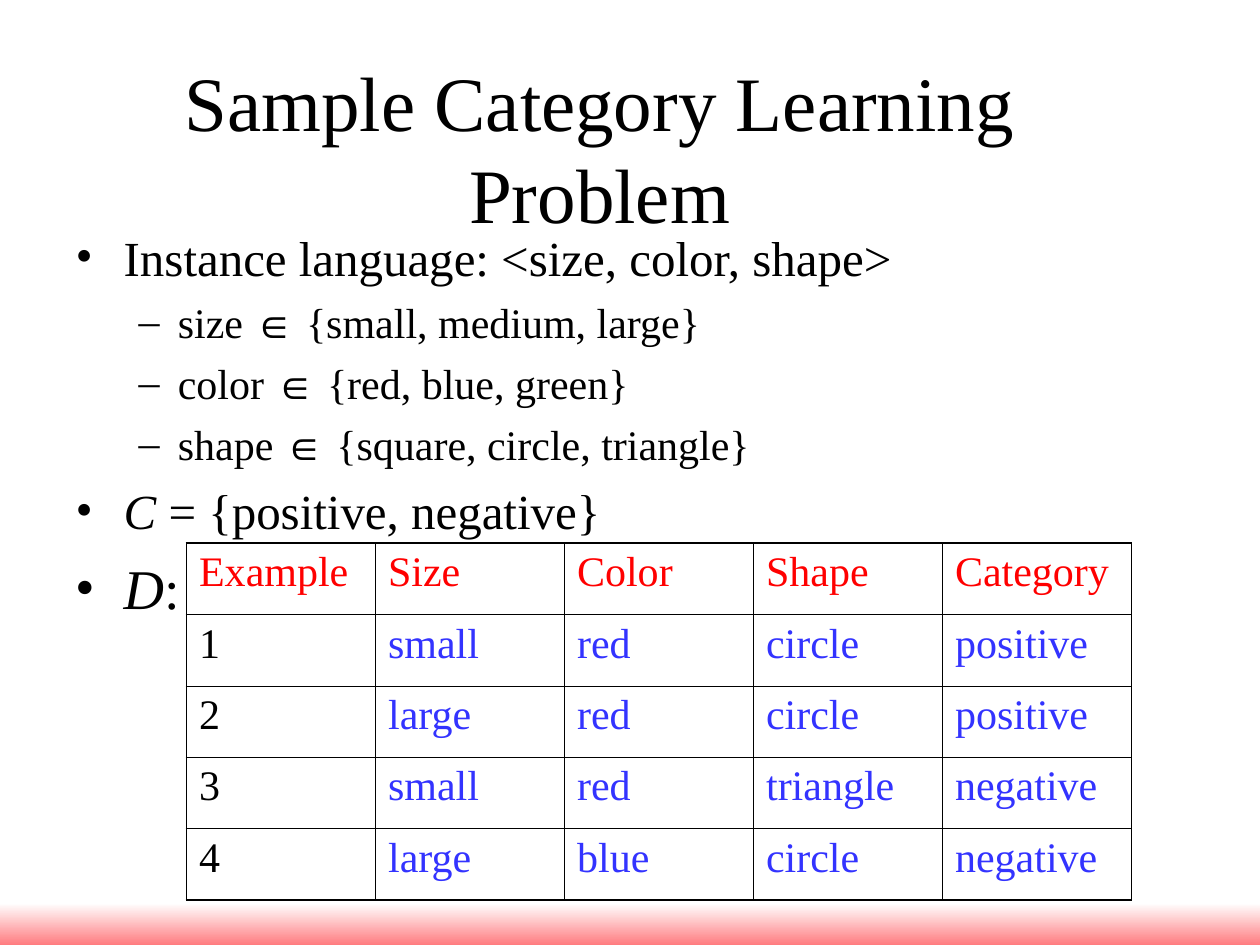
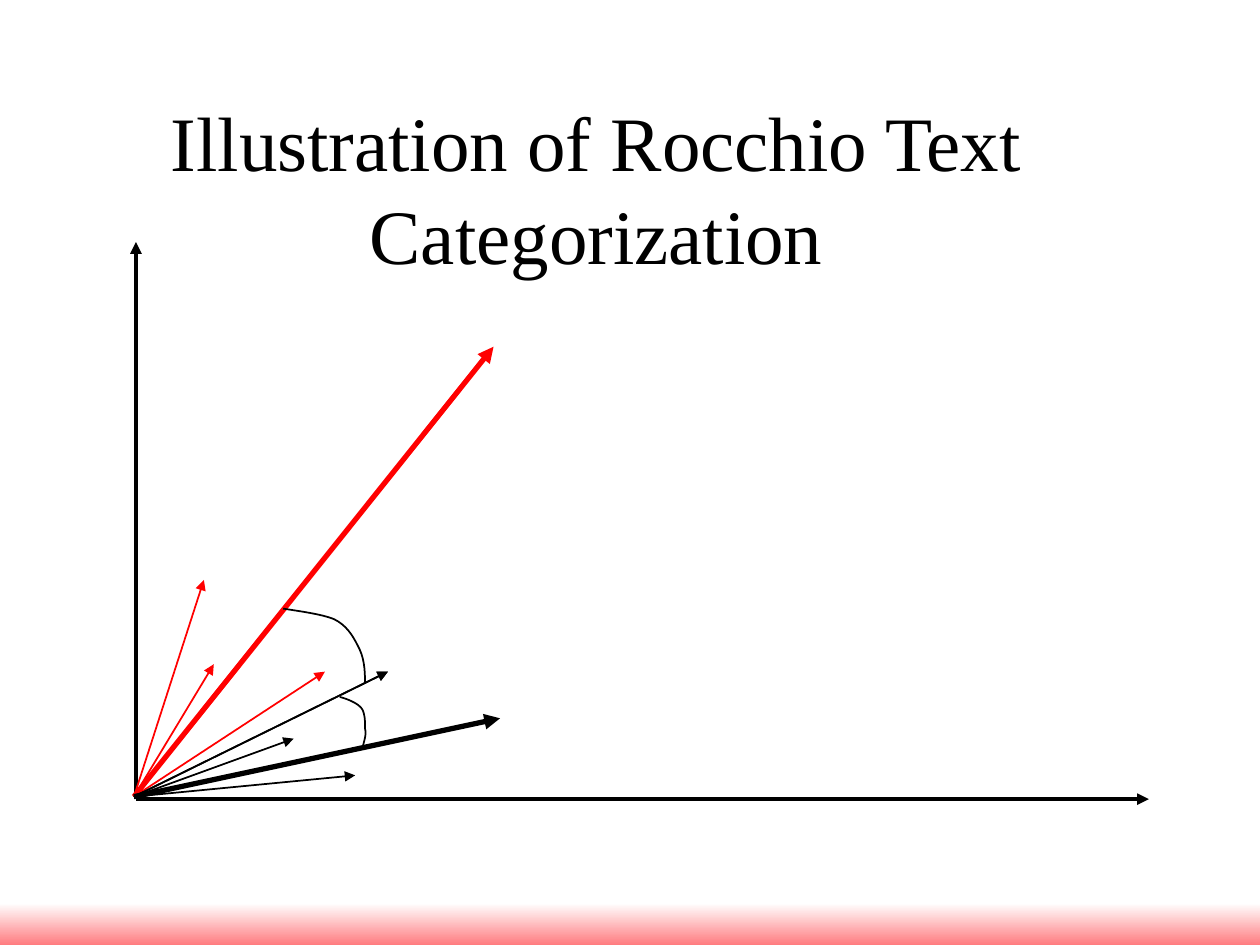
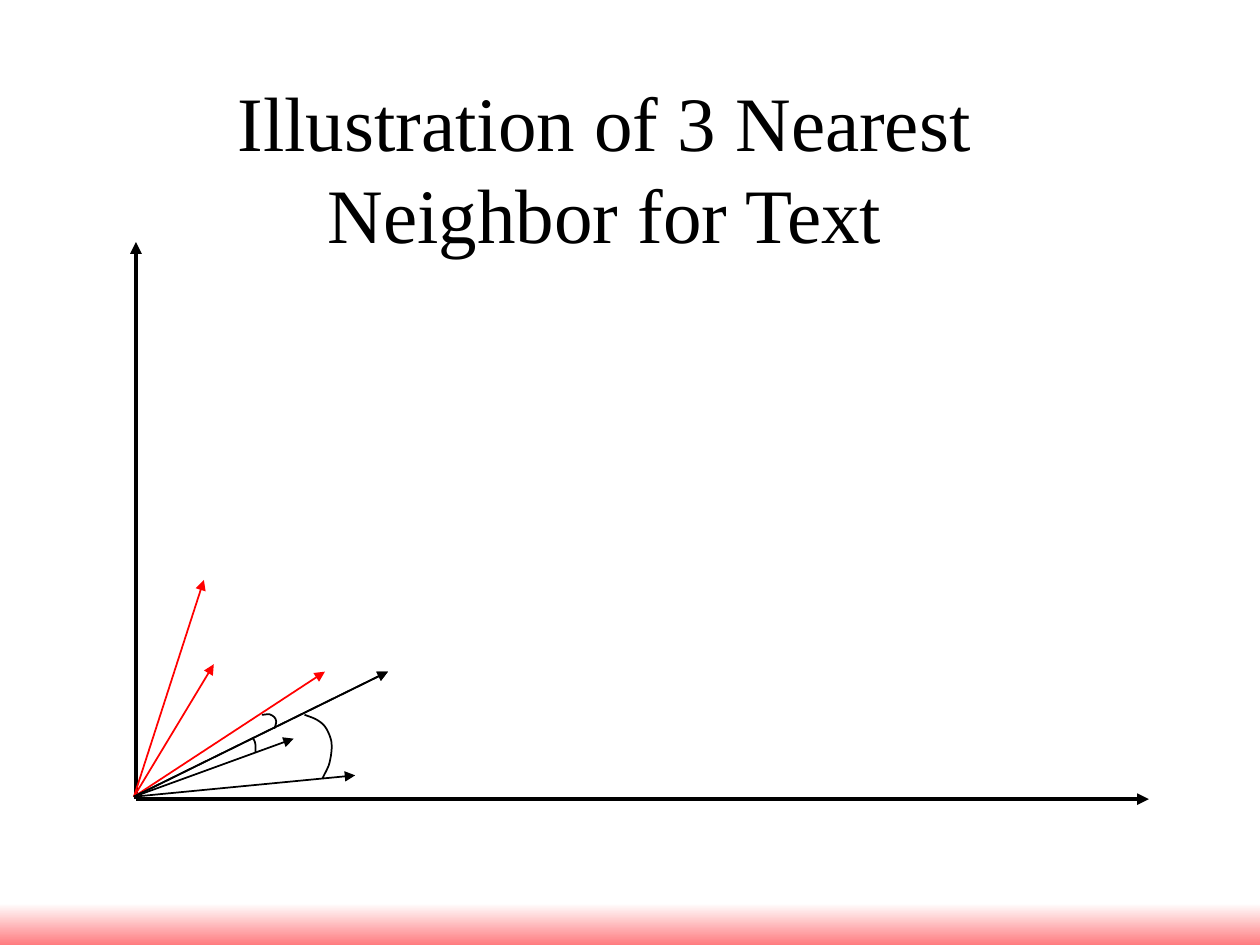
from lxml import etree
from pptx import Presentation
from pptx.dml.color import RGBColor
from pptx.enum.shapes import MSO_CONNECTOR, MSO_SHAPE
from pptx.enum.text import MSO_ANCHOR, MSO_AUTO_SIZE, PP_ALIGN
from pptx.oxml.ns import qn
from pptx.util import Cm, Pt

STRAIGHT = MSO_CONNECTOR.STRAIGHT
RECTANGLE = MSO_SHAPE.RECTANGLE
TOP = MSO_ANCHOR.TOP
NO_FIT = MSO_AUTO_SIZE.NONE
CENTER = PP_ALIGN.CENTER
LEFT = PP_ALIGN.LEFT

BLACK = RGBColor(0x00, 0x00, 0x00)
WHITE = RGBColor(0xFF, 0xFF, 0xFF)
RED = RGBColor(0xFF, 0x00, 0x00)
BLUE = RGBColor(0x33, 0x33, 0xFF)
PINK = RGBColor(0xFF, 0x7C, 0x80)

SERIF = "Times New Roman"
SANS = "Arial"
LINE_PITCH = 1.2
CONTENT_LAYOUT, TITLE_LAYOUT = 1, 5

# Boxes are left, top, width, height in centimetres
BAND_BOX = (0, 18.21, 25.4, 0.84)
BODY_BOX = (1.27, 4.45, 22.86, 12.57)
TABLE_BOX = (3.76, 10.95, 19.05, 7.19)
PLOT_BOX = (2.74, 4.88, 20.42, 11.23)

# List levels: bullet, left margin, hanging indent
LEVELS = [("•", 0.97, 0.97), ("–", 2.06, 0.79)]

# Each item: level, size, space before, runs of (text, font, italic)
PROBLEM = [
    (0, 28, 7, [("Instance language: <size, color, shape>", SERIF, False)]),
    *[(1, 24, 6, [(name + " ", SERIF, False), ("∈", SANS, False),
                  (" {" + values + "}", SERIF, False)])
      for name, values in [("size", "small, medium, large"),
                           ("color", "red, blue, green"),
                           ("shape", "square, circle, triangle")]],
    (0, 28, 7, [("C ", SERIF, True), ("= {positive, negative}", SERIF, False)]),
    (0, 32, 8, [("D", SERIF, True), (":", SERIF, False)]),
]

EXAMPLES = [
    ["Example", "Size", "Color", "Shape", "Category"],
    ["1", "small", "red", "circle", "positive"],
    ["2", "large", "red", "circle", "positive"],
    ["3", "small", "red", "triangle", "negative"],
    ["4", "large", "blue", "circle", "negative"],
]

# Vectors: tip right of and above the origin in centimetres, colour, width
DOCUMENTS = [
    (1.37, 4.42, RED, 1), (1.57, 2.72, RED, 1), (3.81, 2.57, RED, 1),
    (4.42, 0.48, BLACK, 1), (3.18, 1.22, BLACK, 1),
]
PROTOTYPES = [(7.21, 9.12, RED, 3), (7.34, 1.63, BLACK, 3)]
QUERY = (5.08, 2.57, BLACK, 1)
RAY_START = (-0.04, 0.05)

# Angle arcs: a start point, then three Bézier points for each segment
PROTOTYPE_ARCS = [
    [(2.97, 3.84), (3.35, 3.78), (3.73, 3.73), (3.99, 3.63), (4.24, 3.51),
     (4.37, 3.3), (4.47, 3.1), (4.6, 2.87), (4.62, 2.62), (4.62, 2.36)],
    [(4.11, 2.06), (4.29, 2.01), (4.47, 1.93), (4.55, 1.83), (4.62, 1.73),
     (4.62, 1.55), (4.62, 1.42), (4.65, 1.3), (4.6, 1.17), (4.57, 1.04)],
]
NEIGHBOR_ARCS = [
    [(2.36, 1.22), (2.43, 1.14), (2.41, 1.02), (2.41, 0.94)],
    [(2.54, 1.7), (2.62, 1.7), (2.67, 1.73), (2.72, 1.7), (2.77, 1.68),
     (2.82, 1.63), (2.82, 1.6), (2.84, 1.55), (2.82, 1.5), (2.79, 1.42)],
    [(3.4, 1.7), (3.53, 1.65), (3.63, 1.63), (3.76, 1.52), (3.84, 1.45),
     (3.91, 1.3), (3.94, 1.17), (3.96, 1.04), (3.94, 0.89), (3.91, 0.76),
     (3.89, 0.64), (3.81, 0.53), (3.76, 0.41)],
]
ARC_STEPS = 8


def lengths(box):
    return [Cm(value) for value in box]


def add_span(para, text, size, color=BLACK, font=SERIF, italic=False):
    span = para.add_run()
    span.text = text
    span.font.size = Pt(size)
    span.font.name = font
    span.font.italic = italic
    span.font.color.rgb = color


def fit_placeholder(holder, box):
    holder.left, holder.top, holder.width, holder.height = lengths(box)
    frame = holder.text_frame
    frame.word_wrap = True
    frame.auto_size = NO_FIT
    frame.vertical_anchor = TOP
    return frame


def add_page(deck, layout, title, box):
    page = deck.slides.add_slide(deck.slide_layouts[layout])
    para = fit_placeholder(page.shapes.title, box).paragraphs[0]
    para.alignment = CENTER
    para.line_spacing = Pt(44 * LINE_PITCH)
    add_span(para, title, 44)
    return page


def move_band_to_master(deck, page, box):
    """Draw the bottom band and place it behind everything on the master."""
    band = page.shapes.add_shape(RECTANGLE, *lengths(box))
    band.shadow.inherit = False
    band.line.fill.background()
    band.fill.gradient()
    band.fill.gradient_angle = 270
    for stop, color in zip(band.fill.gradient_stops, (WHITE, PINK)):
        stop.color.rgb = color
    band.element.nvSpPr.cNvPr.set("id", "99")
    deck.slide_master.shapes.element.insert(2, band.element)


def set_bullet(para, level):
    mark, margin, hanging = LEVELS[level]
    props = para._p.get_or_add_pPr()
    props.set("marL", str(Cm(margin)))
    props.set("indent", str(-Cm(hanging)))
    color = etree.SubElement(props, qn("a:buClr"))
    etree.SubElement(color, qn("a:srgbClr"), val=str(BLACK))
    etree.SubElement(props, qn("a:buFont"), typeface=SERIF)
    etree.SubElement(props, qn("a:buChar"), char=mark)


def fill_list(holder, box, items):
    frame = fit_placeholder(holder, box)
    for index, (level, size, before, spans) in enumerate(items):
        para = frame.add_paragraph() if index else frame.paragraphs[0]
        para.level = level
        para.alignment = LEFT
        para.space_before = Pt(before)
        para.line_spacing = Pt(size * LINE_PITCH)
        set_bullet(para, level)
        for text, font, italic in spans:
            add_span(para, text, size, font=font, italic=italic)


def set_borders(cell, outer_sides):
    props = cell._tc.get_or_add_tcPr()
    for side in "LRTB":
        width = Pt(1.08 if side in outer_sides else 0.45)
        line = etree.SubElement(props, qn("a:ln" + side), w=str(width))
        solid = etree.SubElement(line, qn("a:solidFill"))
        etree.SubElement(solid, qn("a:srgbClr"), val=str(BLACK))


def add_examples(page, box, rows):
    last_row, last_col = len(rows) - 1, len(rows[0]) - 1
    table = page.shapes.add_table(last_row + 1, last_col + 1, *lengths(box)).table
    table.first_row = table.horz_banding = False
    for r, row in enumerate(rows):
        for c, text in enumerate(row):
            cell = table.cell(r, c)
            edges = {"L": c == 0, "R": c == last_col, "T": r == 0, "B": r == last_row}
            set_borders(cell, [side for side, outer in edges.items() if outer])
            cell.fill.background()
            para = cell.text_frame.paragraphs[0]
            para.space_before = Pt(6)
            color = RED if r == 0 else BLACK if c == 0 else BLUE
            add_span(para, text, 24, color)


def plot_point(box, point):
    """Turn a point measured from the lower left corner into slide lengths."""
    left, top, _, height = box
    return Cm(left + point[0]), Cm(top + height - point[1])


def add_arrow(page, box, start, tip, color, width):
    arrow = page.shapes.add_connector(
        STRAIGHT, *plot_point(box, start), *plot_point(box, tip))
    arrow.line.color.rgb = color
    arrow.line.width = Pt(width)
    etree.SubElement(arrow.line._get_or_add_ln(), qn("a:tailEnd"), type="triangle")
    etree.SubElement(arrow.element.spPr, qn("a:effectLst"))


def bezier(a, b, c, d, t):
    s = 1 - t
    return tuple(s**3 * p + 3 * s * s * t * q + 3 * s * t * t * u + t**3 * v
                 for p, q, u, v in zip(a, b, c, d))


def add_arc(page, box, points):
    curve = [plot_point(box, bezier(*points[i:i + 4], step / ARC_STEPS))
             for i in range(0, len(points) - 1, 3)
             for step in range(1, ARC_STEPS + 1)]
    builder = page.shapes.build_freeform(*plot_point(box, points[0]))
    builder.add_line_segments(curve, close=False)
    arc = builder.convert_to_shape()
    arc.shadow.inherit = False
    arc.fill.background()
    arc.line.color.rgb = BLACK
    arc.line.width = Pt(1)


def add_vector_plot(page, box, vectors, arcs):
    _, _, width, height = box
    for axis_tip in ((0, height), (width, 0)):
        add_arrow(page, box, (0, 0), axis_tip, BLACK, 2.25)
    for x, y, color, weight in vectors + [QUERY]:
        add_arrow(page, box, RAY_START, (x, y), color, weight)
    for points in arcs:
        add_arc(page, box, points)
    # The query vector also lies over the arcs
    add_arrow(page, box, RAY_START, QUERY[:2], *QUERY[2:])


def main():
    deck = Presentation()
    deck.slide_width, deck.slide_height = Cm(25.4), Cm(19.05)

    # Category learning problem
    page = add_page(deck, CONTENT_LAYOUT, "Sample Category Learning Problem",
                    (0.66, 0.97, 22.86, 3.18))
    move_band_to_master(deck, page, BAND_BOX)
    fill_list(page.placeholders[1], BODY_BOX, PROBLEM)
    add_examples(page, TABLE_BOX, EXAMPLES)

    # Rocchio
    page = add_page(deck, TITLE_LAYOUT, "Illustration of Rocchio Text Categorization",
                    (0.94, 1.78, 22.17, 2.74))
    add_vector_plot(page, PLOT_BOX, DOCUMENTS + PROTOTYPES, PROTOTYPE_ARCS)

    # Nearest neighbors
    page = add_page(deck, TITLE_LAYOUT, "Illustration of 3 Nearest Neighbor for Text",
                    (2.41, 1.37, 19.56, 2.74))
    add_vector_plot(page, PLOT_BOX, DOCUMENTS, NEIGHBOR_ARCS)

    deck.save("out.pptx")


if __name__ == "__main__":
    main()
